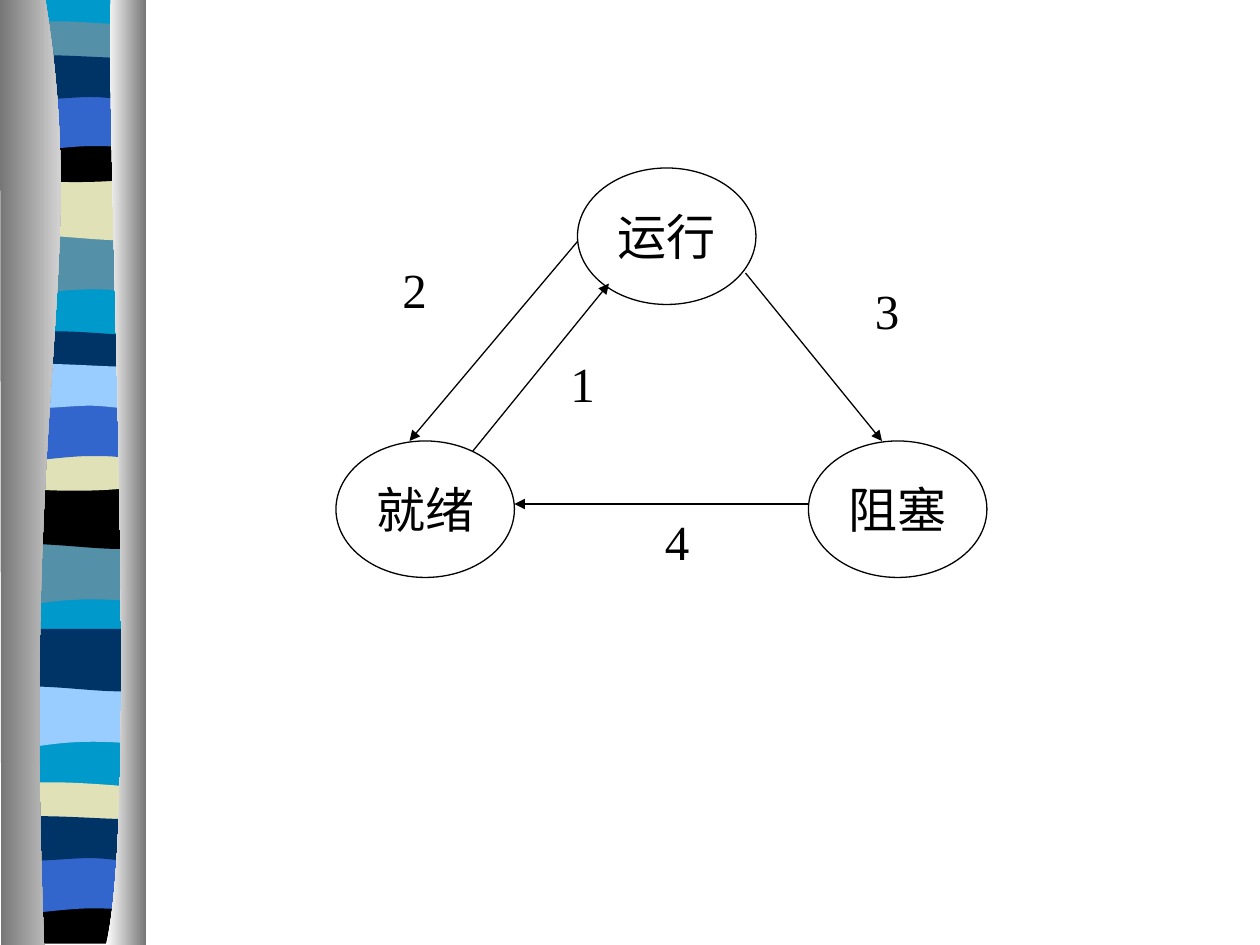
from dataclasses import dataclass
from typing import NamedTuple, Optional

from lxml.etree import SubElement
from pptx import Presentation
from pptx.dml.color import RGBColor as RGB
from pptx.enum.shapes import MSO_CONNECTOR as CONN, MSO_SHAPE as SHAPE
from pptx.enum.text import MSO_ANCHOR as ANCHOR, PP_ALIGN as ALIGN
from pptx.oxml.ns import qn
from pptx.util import Inches, Pt


@dataclass(frozen=True)
class Theme:
    font: str = "Times New Roman"
    size: int = 28
    line_width: float = 0.75
    ink: str = "000000"
    cyan: str = "0099CC"
    teal: str = "5490A8"
    sand: str = "E1E1B7"
    blue: str = "3366CC"
    navy: str = "003366"
    sky: str = "99CCFF"
    dark_edge: str = "767676"
    light_edge: str = "FFFFFF"


class Oval(NamedTuple):
    text: str
    col: int
    row: int


class Arrow(NamedTuple):
    start: tuple[int, int]
    end: tuple[int, int]


class Band(NamedTuple):
    outline: str
    left: float
    top: float
    color: str


T = Theme()
COLS, ROWS = 120, 90
STATE_SIZE = (17, 13)
LABEL_SIZE = (13, 11)

STATES = [Oval("运行", 55, 16), Oval("就绪", 32, 42), Oval("阻塞", 77, 42)]
ARROWS = [Arrow((71, 26), (84, 42)), Arrow((77, 48), (49, 48)),
          Arrow((55, 23), (39, 42)), Arrow((45, 43), (58, 27))]
LABELS = [Oval("3", 78, 24), Oval("2", 33, 22), Oval("1", 49, 31), Oval("4", 58, 46)]

# Each outline is a start point, then segments: 2 numbers for a line, 6 for a cubic curve.
OUTLINES = {
    "column": [(0, 0), (1.08, 0), (1.08, 7.48), (0, 7.48)],
    "wave": [(1.08, 0), (1.08, 0.47), (0.33, 0.39, 0.18, 0.55, 0, 0.47), (0, 0)],
    "swell": [(1.08, 0), (1.08, 0.47), (0.9, 0.55, 0.33, 0.42, 0, 0.47), (0, 0)],
    "thin": [(1.08, 0.05), (1.08, 0.29), (0.9, 0.33, 0.18, 0.33, 0, 0.29), (0, 0.05),
             (0.06, 0, 0.23, 0.01, 0.41, 0.01), (0.59, 0.01, 0.94, 0.04, 1.08, 0.05)],
    "bowl": [(1.08, 0), (1.08, 0.32), (0.9, 0.38, 0.18, 0.38, 0, 0.32), (0, 0),
             (0.66, 0.05, 0.85, 0, 1.08, 0)],
    "arch": [(1.08, 0), (1.08, 0.47), (0.91, 0.42, 0.84, 0.42, 0.66, 0.42),
             (0.48, 0.42, 0.16, 0.47, 0, 0.47), (0, 0)],
    "ripple": [(1.08, 0.05), (1.08, 0.36), (1.01, 0.41, 0.84, 0.36, 0.66, 0.36),
               (0.48, 0.36, 0.11, 0.41, 0, 0.36), (0, 0.05),
               (0.15, 0, 0.73, 0.05, 0.91, 0.05), (1.09, 0.05, 1.04, 0.05, 1.08, 0.05)],
    "foot": [(1.08, 0), (1.08, 0.37), (0, 0.37), (0, 0), (0.66, 0.05, 0.85, 0, 1.08, 0)],
    "left curtain": [(0.36, 0), (0.71, 2.17, 0.17, 2.97, 0.35, 7.5), (0.01, 7.5), (0, 0)],
    "right curtain": [(0.88, 0), (0.84, 1.26, 1.11, 6.47, 0.84, 7.5), (1.16, 7.5), (1.16, 0)],
}

BANDS = [
    Band("column", 0.06, -0.01, T.cyan),
    Band("wave", 0.06, 1.85, T.teal), Band("swell", 0.06, 1.41, T.sand),
    Band("thin", 0.06, 0.16, T.teal), Band("bowl", 0.06, 1.08, T.ink),
    Band("arch", 0.06, 0.74, T.blue), Band("ripple", 0.06, 0.41, T.navy),
    Band("wave", 0.05, 4.31, T.teal), Band("swell", 0.05, 3.86, T.ink),
    Band("thin", 0.05, 2.62, T.navy), Band("bowl", 0.05, 3.53, T.sand),
    Band("arch", 0.05, 3.2, T.blue), Band("ripple", 0.05, 2.86, T.sky),
    Band("wave", 0.06, 5.44, T.sky), Band("swell", 0.06, 4.99, T.navy),
    Band("thin", 0.05, 6.2, T.sand), Band("foot", 0.05, 7.12, T.ink),
    Band("arch", 0.05, 6.79, T.blue), Band("ripple", 0.05, 6.45, T.navy),
]

prs = Presentation()
prs.slide_width, prs.slide_height = Inches(10), Inches(7.5)
s = prs.slides.add_slide(prs.slide_layouts[6])


def x(col: float) -> int:
    return round(prs.slide_width * col / COLS)


def y(row: float) -> int:
    return round(prs.slide_height * row / ROWS)


def bend(sp, segments: list[tuple]) -> None:
    """Merge the three lines of each curved segment into one cubic curve."""
    lines = iter(list(sp._element.iter(qn("a:lnTo"))))
    for seg in segments:
        group = [next(lines) for _ in range(len(seg) // 2)]
        if len(group) == 3:
            geom = group[0].getparent()
            curve = SubElement(geom, qn("a:cubicBezTo"))
            group[0].addprevious(curve)
            for line in group:
                curve.append(line[0])
                geom.remove(line)


def add_outline(name: str, left: float, top: float):
    start, *segments = OUTLINES[name]
    points = [(Inches(left + px), Inches(top + py))
              for seg in (start, *segments) for px, py in zip(seg[::2], seg[1::2])]
    builder = s.shapes.build_freeform(*points[0], scale=1.0)
    builder.add_line_segments(points[1:], close=True)
    sp = builder.convert_to_shape()
    bend(sp, segments)
    sp.shadow.inherit = False
    sp.line.fill.background()
    return sp


def add_band(band: Band) -> None:
    sp = add_outline(band.outline, band.left, band.top)
    sp.fill.solid()
    sp.fill.fore_color.rgb = RGB.from_string(band.color)


def add_curtain(name: str, colors: tuple[str, str]) -> None:
    sp = add_outline(name, 0, 0)
    sp.fill.gradient()
    sp.fill.gradient_angle = 0
    for stop, color in zip(sp.fill.gradient_stops, colors):
        stop.color.rgb = RGB.from_string(color)


def add_oval(oval: Oval, size: tuple[int, int], line: Optional[str] = None) -> None:
    sp = s.shapes.add_shape(SHAPE.OVAL, x(oval.col), y(oval.row), x(size[0]), y(size[1]))
    sp.shadow.inherit = False
    sp.fill.background()
    if line:
        sp.line.color.rgb = RGB.from_string(line)
        sp.line.width = Pt(T.line_width)
    else:
        sp.line.fill.background()
    tf = sp.text_frame
    tf.word_wrap = False
    tf.vertical_anchor = ANCHOR.MIDDLE
    p = tf.paragraphs[0]
    p.alignment = ALIGN.CENTER
    r = p.add_run()
    r.text = oval.text
    r.font.name, r.font.size = T.font, Pt(T.size)
    r.font.color.rgb = RGB.from_string(T.ink)


def add_arrow(arrow: Arrow) -> None:
    (x1, y1), (x2, y2) = arrow
    cn = s.shapes.add_connector(CONN.STRAIGHT, x(x1), y(y1), x(x2), y(y2))
    cn.line.color.rgb = RGB.from_string(T.ink)
    cn.line.width = Pt(T.line_width)
    SubElement(cn.line._get_or_add_ln(), qn("a:tailEnd"), type="triangle")
    SubElement(cn._element.spPr, qn("a:effectLst"))


for band in BANDS:
    add_band(band)
add_curtain("left curtain", (T.dark_edge, T.light_edge))
add_curtain("right curtain", (T.light_edge, T.dark_edge))
for state in STATES:
    add_oval(state, STATE_SIZE, line=T.ink)
for arrow in ARROWS:
    add_arrow(arrow)
for label in LABELS:
    add_oval(label, LABEL_SIZE)
prs.save("out.pptx")
